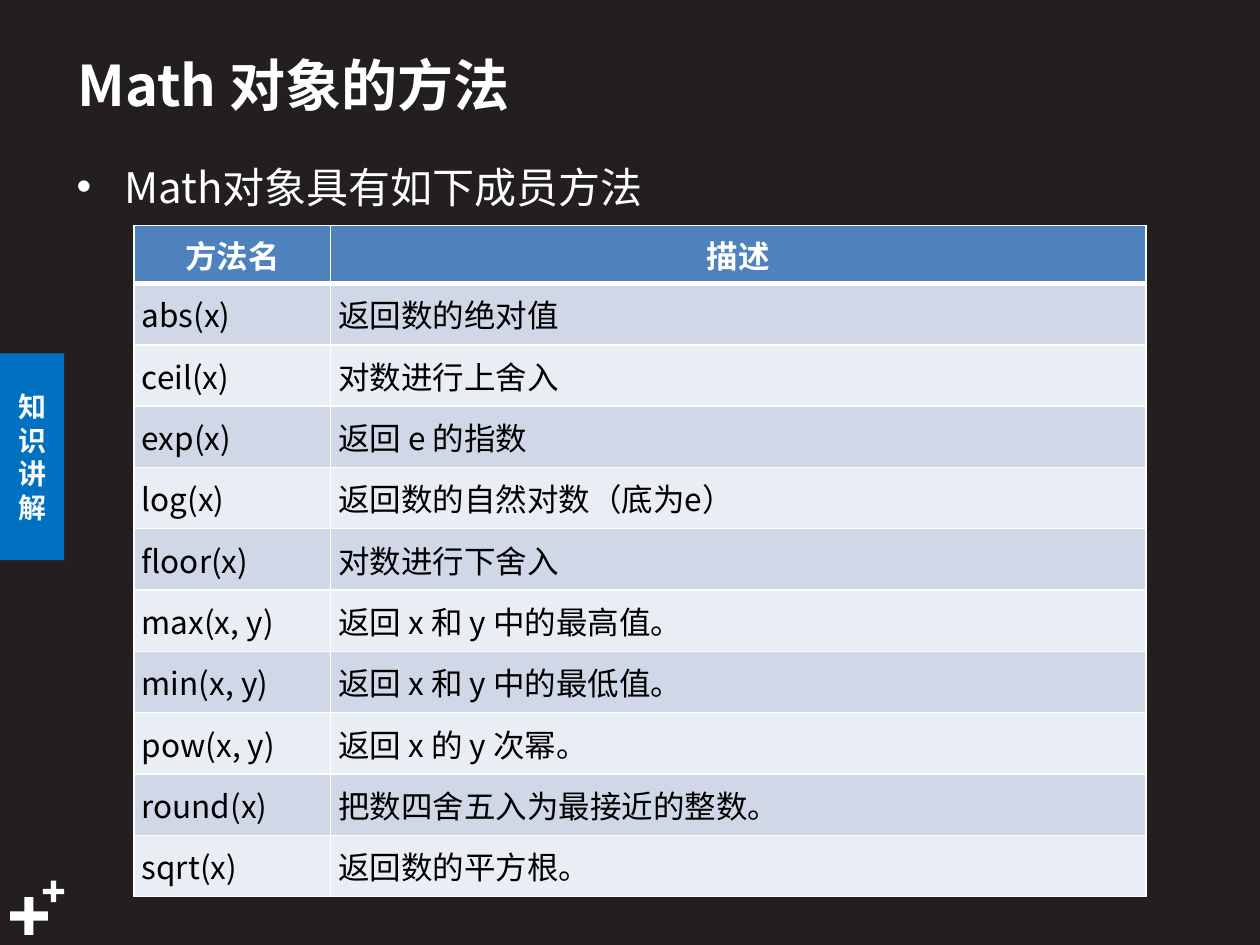
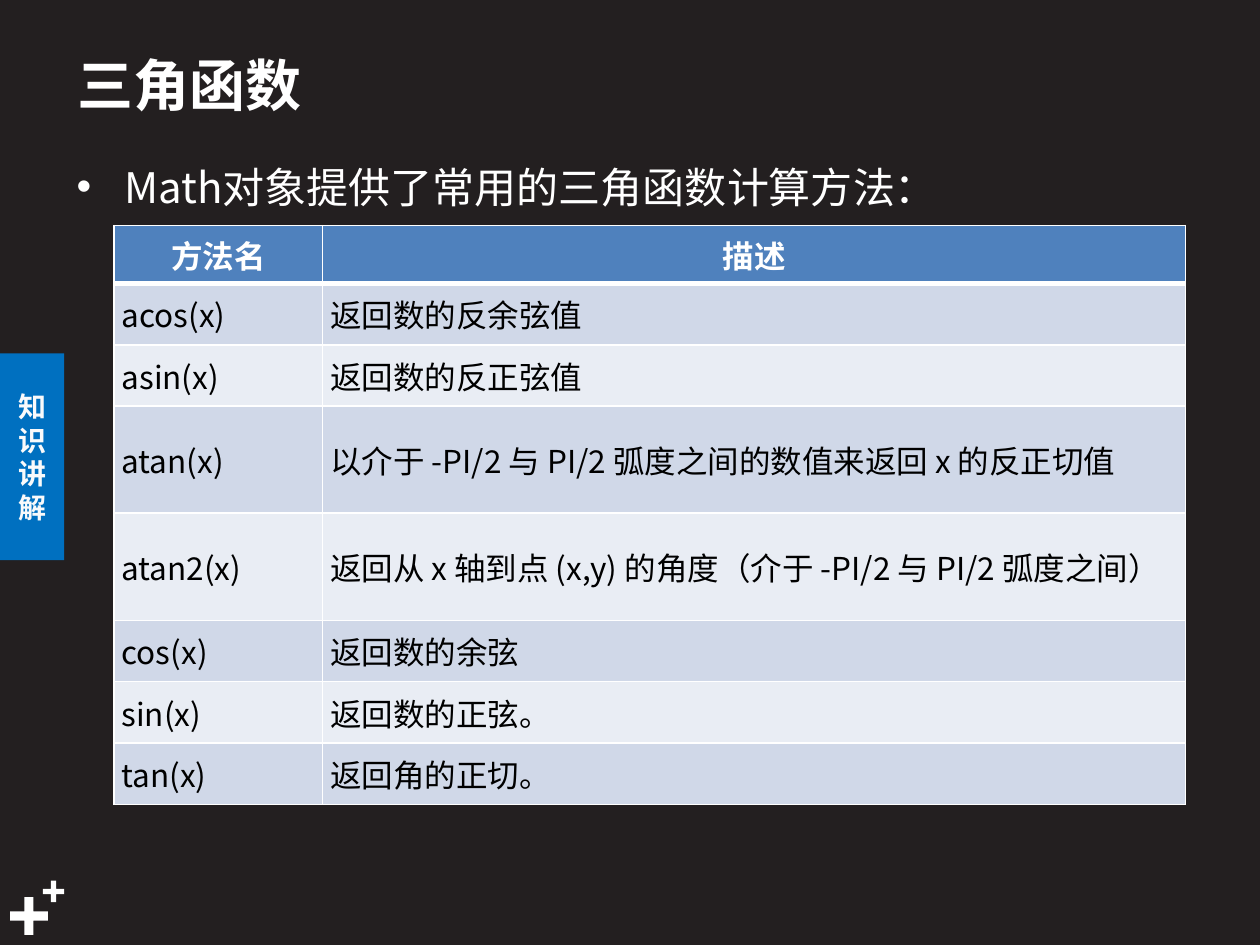
from dataclasses import dataclass

from lxml.etree import SubElement as Sub
from pptx import Presentation
from pptx.dml.color import RGBColor as Color
from pptx.enum.shapes import MSO_SHAPE as Shape
from pptx.enum.text import MSO_ANCHOR as Anchor, PP_ALIGN as Align
from pptx.oxml.ns import qn
from pptx.util import Inches, Pt

DARK = Color(0x23, 0x1F, 0x20)
WHITE = Color(0xFF, 0xFF, 0xFF)
BLACK = Color(0, 0, 0)
PALE = Color(0xF9, 0xFA, 0xFB)
BLUE = Color(0x00, 0x70, 0xC0)
HEAD = Color(0x4F, 0x81, 0xBD)
BANDS = Color(0xE9, 0xED, 0xF4), Color(0xD0, 0xD8, 0xE8)
FONT = "Noto Sans CJK SC"
COLS, ROWS = 100, 75
NAMES = "方法名", "描述"
TOP, LOW, TALL = 4.6, 4.87, 8.5


@dataclass
class Box:
    col: float
    row: float
    wide: float
    high: float

    def place(self) -> list[int]:
        return [int(self.col * unit_x), int(self.row * unit_y),
                int(self.wide * unit_x), int(self.high * unit_y)]


@dataclass
class Page:
    title: str
    lead: str
    left: float
    wide: float
    split: float
    rows: list[tuple[str, str]]
    tall: tuple[int, ...] = ()

    def highs(self) -> list[float]:
        spots = range(1, len(self.rows) + 1)
        return [TOP, *(TALL if spot in self.tall else LOW for spot in spots)]


TAG = Box(0, 28.05, 5.1, 16.4)
TITLE = Box(5.15, 2.8, 74, 7.8)
LEAD = Box(5.1, 11.5, 88.2, 5.9)
MARKS = Box(0.8, 71.2, 3, 3), Box(3.4, 69.9, 1.7, 1.7)
TABLE_ROW = 17.9

PAGES = [
    Page("Math 对象的方法", "Math对象具有如下成员方法",
         10.65, 80.3, 15.6, [
             ("abs(x)", "返回数的绝对值"),
             ("ceil(x)", "对数进行上舍入"),
             ("exp(x)", "返回 e 的指数"),
             ("log(x)", "返回数的自然对数（底为e）"),
             ("floor(x)", "对数进行下舍入"),
             ("max(x, y)", "返回 x 和 y 中的最高值。"),
             ("min(x, y)", "返回 x 和 y 中的最低值。"),
             ("pow(x, y)", "返回 x 的 y 次幂。"),
             ("round(x)", "把数四舍五入为最接近的整数。"),
             ("sqrt(x)", "返回数的平方根。"),
         ]),
    Page("三角函数", "Math对象提供了常用的三角函数计算方法：",
         9.05, 85.05, 16.55, [
             ("acos(x)", "返回数的反余弦值"),
             ("asin(x)", "返回数的反正弦值"),
             ("atan(x)", "以介于 -PI/2 与 PI/2 弧度之间的数值来返回 x 的反正切值"),
             ("atan2(x)", "返回从 x 轴到点 (x,y) 的角度（介于 -PI/2 与 PI/2 弧度之间）"),
             ("cos(x)", "返回数的余弦"),
             ("sin(x)", "返回数的正弦。"),
             ("tan(x)", "返回角的正切。"),
         ], (3, 4)),
]


def write(frame, text: str, size: float, color: Color,
          bold: bool = False, align: Align = Align.LEFT):
    frame.word_wrap = True
    para = frame.paragraphs[0]
    para.text = text
    para.alignment = align
    font = para.font
    font.size, font.bold, font.name = Pt(size), bold, FONT
    font.color.rgb = color
    Sub(para._p.pPr.find(qn("a:defRPr")), qn("a:ea"), typeface=FONT)
    return para


def block(slide, kind: Shape, box: Box, color: Color):
    shape = slide.shapes.add_shape(kind, *box.place())
    shape.shadow.inherit = False
    shape.fill.solid()
    shape.fill.fore_color.rgb = color
    shape.line.fill.background()
    return shape


def frame(slide) -> None:
    for box in MARKS:
        block(slide, Shape.CROSS, box, WHITE).adjustments[0] = 0.378
    tag = block(slide, Shape.RECTANGLE, TAG, BLUE)
    tag.text_frame.vertical_anchor = Anchor.MIDDLE
    write(tag.text_frame, "知识讲解", 16, PALE, True, Align.CENTER)


def head(slide, text: str) -> None:
    title = slide.shapes.title
    title.left, title.top, title.width, title.height = TITLE.place()
    title.text_frame.vertical_anchor = Anchor.MIDDLE
    write(title.text_frame, text, 32, WHITE, True)


def lead(slide, text: str) -> None:
    area = slide.shapes.add_textbox(*LEAD.place())
    para = write(area.text_frame, text, 24, WHITE)
    para.line_spacing, para.space_before = 1.2, Pt(4.8)
    props = para._p.pPr
    props.set("marL", str(Inches(0.38)))
    props.set("indent", str(-Inches(0.38)))
    face = Sub(props, qn("a:buFont"), typeface="Arial")
    dot = Sub(props, qn("a:buChar"), char="•")
    for part in (face, dot):
        props.find(qn("a:defRPr")).addprevious(part)


def edge(cell, top: float, base: float) -> None:
    props = cell._tc.get_or_add_tcPr()
    sides = {"lnL": 1, "lnR": 1, "lnT": top, "lnB": base}
    for spot, (side, size) in enumerate(sides.items()):
        line = Sub(props, qn(f"a:{side}"), w=str(Pt(size)))
        fill = Sub(line, qn("a:solidFill"))
        Sub(fill, qn("a:srgbClr"), val=str(WHITE))
        props.insert(spot, line)


def table(slide, page: Page) -> None:
    lines = [NAMES, *page.rows]
    highs = page.highs()
    place = Box(page.left, TABLE_ROW, page.wide, sum(highs)).place()
    grid = slide.shapes.add_table(len(lines), len(NAMES), *place).table
    grid.columns[0].width = int(page.split * unit_x)
    grid.columns[1].width = place[2] - grid.columns[0].width
    for row, (line, high) in enumerate(zip(lines, highs)):
        grid.rows[row].height = int(high * unit_y)
        for col, text in enumerate(line):
            cell = grid.cell(row, col)
            cell.fill.solid()
            if row == 0:
                cell.fill.fore_color.rgb = HEAD
                write(cell.text_frame, text, 18, WHITE, True, Align.CENTER)
            else:
                cell.fill.fore_color.rgb = BANDS[row % 2]
                cell.vertical_anchor = Anchor.MIDDLE
                cell.margin_left = cell.margin_top = Inches(0.06)
                cell.margin_bottom = Inches(0.06)
                cell.margin_right = Inches(0.16)
                write(cell.text_frame, text, 18, BLACK)
            edge(cell, 3 if row == 1 else 1, 3 if row == 0 else 1)


deck = Presentation()
deck.slide_width, deck.slide_height = Inches(10), Inches(7.5)
unit_x, unit_y = deck.slide_width / COLS, deck.slide_height / ROWS
back = deck.slide_master.background.fill
back.solid()
back.fore_color.rgb = DARK

for page in PAGES:
    slide = deck.slides.add_slide(deck.slide_layouts[5])
    frame(slide)
    head(slide, page.title)
    lead(slide, page.lead)
    table(slide, page)

deck.save("out.pptx")
